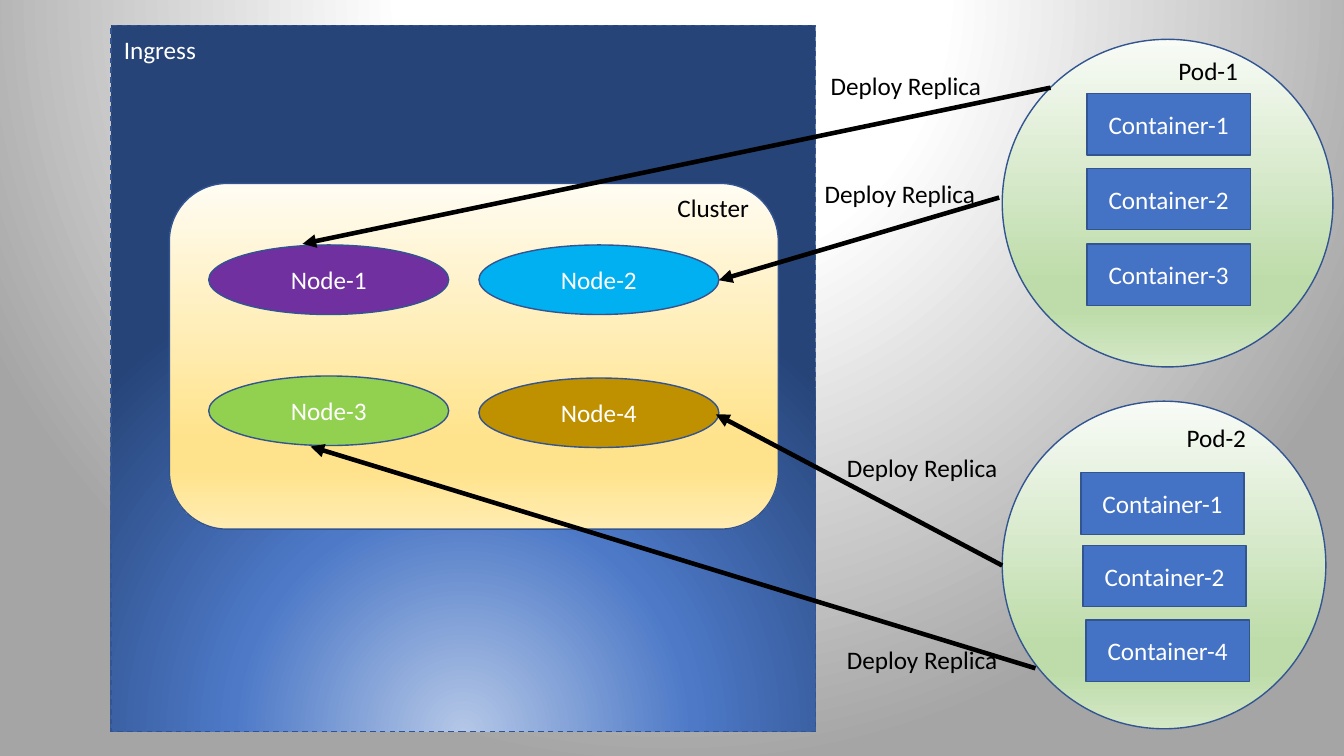
from pptx import Presentation
from pptx.dml.color import RGBColor
from pptx.enum.dml import MSO_LINE
from pptx.enum.shapes import MSO_CONNECTOR, MSO_SHAPE
from pptx.enum.text import MSO_ANCHOR, MSO_AUTO_SIZE, PP_ALIGN
from pptx.oxml.ns import qn
from pptx.util import Inches, Pt
from lxml import etree

RECT, OVAL, ROUND = MSO_SHAPE.RECTANGLE, MSO_SHAPE.OVAL, MSO_SHAPE.ROUNDED_RECTANGLE
DASH, STRAIGHT = MSO_LINE.DASH, MSO_CONNECTOR.STRAIGHT
CENTER, LEFT = PP_ALIGN.CENTER, PP_ALIGN.LEFT
MIDDLE, TOP = MSO_ANCHOR.MIDDLE, MSO_ANCHOR.TOP
FIT = MSO_AUTO_SIZE.SHAPE_TO_FIT_TEXT

FONT = "Calibri"
COLORS = {
    "white": "FFFFFF", "black": "000000", "edge": "325491", "box": "4472C4",
    "purple": "7030A0", "cyan": "00B0F0", "lime": "92D050", "gold": "BF9000",
}
# Gradient stops, then an angle or the (left, top, right, bottom) focus of a circle
GRADS = {
    "page": ([(0, "FFFFFF"), (35, "FFFFFF"), (100, "A5A5A5")], (50, -80, 50, 180)),
    "ingress": ([(0, "B4C7E7"), (46, "4D79C7"), (100, "264478")], (50, 130, 50, -30)),
    "cluster": ([(0, "FFFCF2"), (74, "FFE38C"), (83, "FFE38C"), (100, "FFECB2")], 90),
    "pod": ([(0, "F8FBF6"), (74, "BEDCAA"), (83, "BEDCAA"), (100, "D4E8C6")], 90),
}

INGRESS = (1.1, 0.25, 6.99, 7.01)
CLUSTER = (1.68, 1.82, 6.04, 3.43)
NODE_SIZE = (2.38, 0.69)
NODES = [
    ("Node-1", 2.07, 2.43, "purple"),
    ("Node-2", 4.75, 2.43, "cyan"),
    ("Node-3", 2.07, 3.73, "lime"),
    ("Node-4", 4.75, 3.75, "gold"),
]
BOX_SIZE = (1.62, 0.61)
PODS = [
    ((9.94, 0.39, 3.28, 3.25), ("Pod-1", 11.59, 0.5, 1),
     [("Container-1", 10.78, 0.93), ("Container-2", 10.78, 1.67),
      ("Container-3", 10.78, 2.42)]),
    ((9.94, 3.98, 3.21, 3.25), ("Pod-2", 11.67, 4.14, 0.93),
     [("Container-1", 10.72, 4.69), ("Container-2", 10.74, 5.41),
      ("Container-4", 10.77, 6.15)]),
]
ARROWS = [
    (9.91, 1.96, 7.13, 2.78),
    (9.94, 5.61, 7.1, 4.11),
    (10.27, 6.63, 3.08, 4.43),
    (10.42, 0.87, 3, 2.42),
]
DEPLOY = [(8.14, 0.65, 2.34), (8.3, 6.34, 1.85), (8.3, 4.44, 1.85), (8.08, 1.72, 1.85)]
LABEL_HIGH = 0.4


def rgb(name):
    return RGBColor.from_string(COLORS[name])


def add_sub(parent, tag, **attrs):
    node = etree.SubElement(parent, qn(tag))
    for key, value in attrs.items():
        node.set(key, str(value))
    return node


def set_grad(fill, root, name):
    """Fill with a named gradient; root is the XML that holds the fill."""
    stops, aim = GRADS[name]
    fill.gradient()
    grad = next(root.iter(qn("a:gradFill")))
    for child in list(grad):
        grad.remove(child)
    group = add_sub(grad, "a:gsLst")
    for place, color in stops:
        stop = add_sub(group, "a:gs", pos=place * 1000)
        add_sub(stop, "a:srgbClr", val=color)
    if isinstance(aim, tuple):
        focus = add_sub(grad, "a:path", path="circle")
        add_sub(focus, "a:fillToRect", **{k: v * 1000 for k, v in zip("ltrb", aim)})
    else:
        add_sub(grad, "a:lin", ang=aim * 60000, scaled=0)


def put_text(shape, text, color="white", align=CENTER, anchor=MIDDLE, size=18):
    frame = shape.text_frame
    frame.word_wrap = True
    frame.vertical_anchor = anchor
    para = frame.paragraphs[0]
    para.alignment = align
    run = para.add_run()
    run.text = text
    run.font.name, run.font.size = FONT, Pt(size)
    run.font.color.rgb = rgb(color)


def add_form(slide, kind, area, fill, text=None, dash=None):
    shape = slide.shapes.add_shape(kind, *map(Inches, area))
    shape.shadow.inherit = False
    if fill in GRADS:
        set_grad(shape.fill, shape._element, fill)
    else:
        shape.fill.solid()
        shape.fill.fore_color.rgb = rgb(fill)
    shape.line.color.rgb = rgb("edge")
    shape.line.width = Pt(1)
    if dash:
        shape.line.dash_style = dash
    if text:
        put_text(shape, text)


def add_label(slide, text, left, top, width, color="black"):
    area = (left, top, width, LABEL_HIGH)
    label = slide.shapes.add_textbox(*map(Inches, area))
    put_text(label, text, color=color, align=LEFT, anchor=TOP)
    label.text_frame.auto_size = FIT


def add_arrow(slide, ends):
    arrow = slide.shapes.add_connector(STRAIGHT, *map(Inches, ends))
    arrow.line.color.rgb = rgb("black")
    arrow.line.width = Pt(3.25)
    add_sub(arrow.line._get_or_add_ln(), "a:tailEnd", type="triangle")
    add_sub(arrow._element.spPr, "a:effectLst")


def main():
    deck = Presentation()
    deck.slide_width, deck.slide_height = Inches(13.33), Inches(7.5)
    slide = deck.slides.add_slide(deck.slide_layouts[6])
    set_grad(slide.background.fill, slide._element, "page")

    add_form(slide, RECT, INGRESS, "ingress", dash=DASH)
    add_label(slide, "Ingress", 1.13, 0.29, 1, color="white")
    add_form(slide, ROUND, CLUSTER, "cluster")
    add_label(slide, "Cluster", 6.62, 1.86, 0.97)
    for text, left, top, fill in NODES:
        add_form(slide, OVAL, (left, top, *NODE_SIZE), fill, text=text)

    for area, title, boxes in PODS:
        add_form(slide, OVAL, area, "pod")
        add_label(slide, *title)
        for text, left, top in boxes:
            add_form(slide, RECT, (left, top, *BOX_SIZE), "box", text=text)

    for ends in ARROWS:
        add_arrow(slide, ends)
    for spot in DEPLOY:
        add_label(slide, "Deploy Replica", *spot)

    deck.save("out.pptx")


if __name__ == "__main__":
    main()
